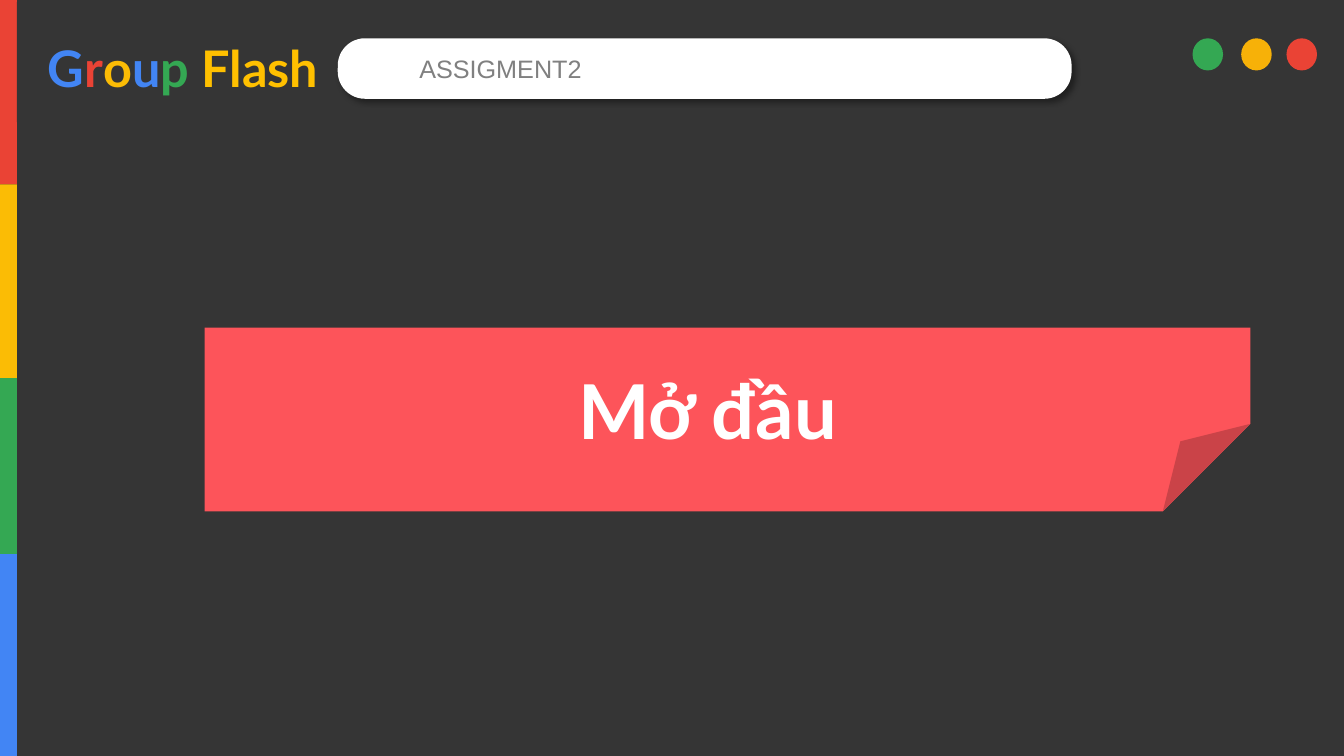
from dataclasses import dataclass

from lxml import etree
from pptx import Presentation
from pptx import util as u
from pptx.dml.color import RGBColor
from pptx.enum import shapes, text
from pptx.oxml import ns


@dataclass(frozen=True)
class Theme:
    dark: str = "353535"
    white: str = "FFFFFF"
    coral: str = "FD545A"
    grey: str = "808080"
    blue: str = "4285F4"
    red: str = "EA4335"
    yellow: str = "FBBC05"
    amber: str = "F7B108"
    gold: str = "FFC000"
    green: str = "34A853"
    head: str = "Lato"
    body: str = "Arial"
    title: int = 54
    brand: int = 36
    label: int = 18


T = Theme()
WIDE, HIGH = u.Inches(13.33), u.Inches(7.5)
KIND = shapes.MSO_SHAPE
ALIGN = text.PP_ALIGN


def area(x, y, w, h):
    """Turn percentages of the slide into left, top, width, height."""
    return [int(side * part / 100)
            for side, part in zip((WIDE, HIGH, WIDE, HIGH), (x, y, w, h))]


def block(slide, kind, place, color):
    item = slide.shapes.add_shape(kind, *area(*place))
    item.shadow.inherit = False
    item.fill.solid()
    item.fill.fore_color.rgb = RGBColor.from_string(color)
    item.line.fill.background()
    return item


def fold(item, share):
    """Set the size of a folded corner as a share of the shorter side."""
    geom = item.element.spPr.find(ns.qn("a:prstGeom"))
    guides = geom.find(ns.qn("a:avLst"))
    if guides is None:
        guides = etree.SubElement(geom, ns.qn("a:avLst"))
    etree.SubElement(guides, ns.qn("a:gd"), name="adj",
                     fmla=f"val {round(share * 100000)}")


def shade(item):
    """Give a shape a soft shadow towards the lower right."""
    list_ = item.element.spPr.find(ns.qn("a:effectLst"))
    drop = etree.SubElement(list_, ns.qn("a:outerShdw"), blurRad=str(u.Pt(4)),
                            dist=str(u.Pt(3)), dir=str(45 * 60000),
                            algn="tl", rotWithShape="0")
    tint = etree.SubElement(drop, ns.qn("a:srgbClr"), val="000000")
    etree.SubElement(tint, ns.qn("a:alpha"), val="40000")


def write(item, runs, font, size, bold=False, align=ALIGN.LEFT):
    frame = item.text_frame
    frame.word_wrap = True
    frame.auto_size = text.MSO_AUTO_SIZE.NONE
    frame.vertical_anchor = text.MSO_ANCHOR.MIDDLE
    para = frame.paragraphs[0]
    para.alignment = align
    for words, color in runs:
        run = para.add_run()
        run.text = words
        run.font.name = font
        run.font.size = u.Pt(size)
        run.font.bold = bold
        run.font.color.rgb = RGBColor.from_string(color)


def label(slide, place, *style, **more):
    write(slide.shapes.add_textbox(*area(*place)), *style, **more)


def main():
    deck = Presentation()
    deck.slide_width, deck.slide_height = WIDE, HIGH
    slide = deck.slides.add_slide(deck.slide_layouts[5])
    slide.background.fill.solid()
    slide.background.fill.fore_color.rgb = RGBColor.from_string(T.dark)

    # Folded banner with the title on top of it
    banner = block(slide, KIND.FOLDED_CORNER, (15.23, 43.33, 77.8, 24.3),
                   T.coral)
    fold(banner, 0.476)
    title = slide.shapes.title
    title.left, title.top, title.width, title.height = area(
        14.25, 47.33, 76.8, 13.5)
    write(title, [("Mở đầu", T.white)], T.head, T.title, True, ALIGN.CENTER)
    banner.element.addnext(title.element)

    # Stripes down the left edge
    top = 0
    for color, tall in ((T.red, 24.4), (T.yellow, 25.6),
                        (T.green, 23.3), (T.blue, 26.7)):
        block(slide, KIND.RECTANGLE, (0, top, 1.25, tall), color)
        top += tall

    # Header band with search bar
    block(slide, KIND.RECTANGLE, (1.25, 0.27, 98.75, 15.9), T.dark)
    search = block(slide, KIND.ROUNDED_RECTANGLE, (25.13, 5.07, 54.6, 8),
                   T.white)
    search.adjustments[0] = 0.45
    shade(search)
    label(slide, (1.88, 3.2, 23.5, 11.5),
          [("G", T.blue), ("r", T.red), ("o", T.yellow), ("u", T.blue),
           ("p ", T.green), ("Flash", T.gold)],
          T.head, T.brand, bold=True, align=ALIGN.CENTER)
    label(slide, (30.46, 6.4, 43.5, 5.33), [("ASSIGMENT2", T.grey)],
          T.body, T.label)

    # Window dots
    for left, color in ((88.73, T.green), (92.35, T.amber), (95.72, T.red)):
        block(slide, KIND.OVAL, (left, 5.07, 2.27, 4.25), color)

    deck.save("out.pptx")


if __name__ == "__main__":
    main()
